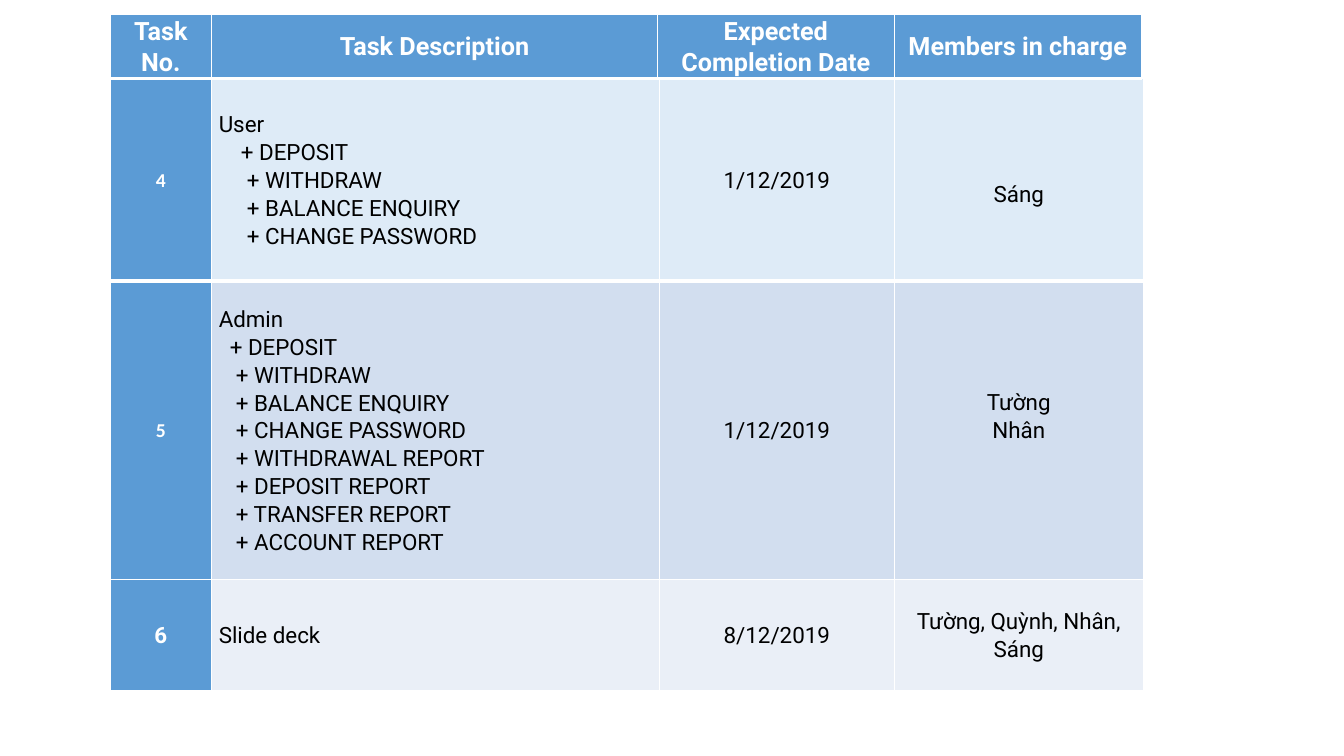
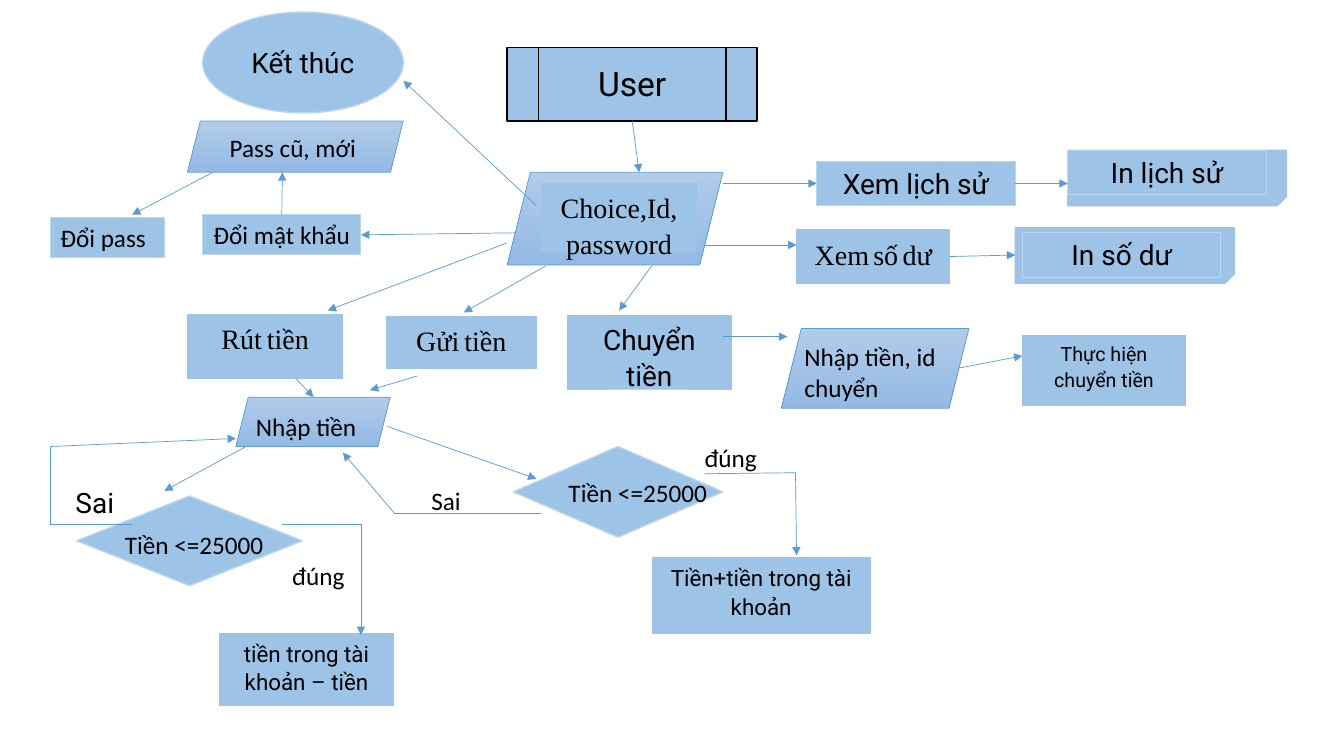
import pptx
import pptx.dml.color
import pptx.enum.shapes
import pptx.enum.text
import pptx.oxml
import pptx.oxml.ns
import pptx.util

Inches, Pt = pptx.util.Inches, pptx.util.Pt
RGBColor = pptx.dml.color.RGBColor
SHAPE = pptx.enum.shapes.MSO_SHAPE
ALIGN = pptx.enum.text.PP_ALIGN
ANCHOR = pptx.enum.text.MSO_ANCHOR
AUTO = pptx.enum.text.MSO_AUTO_SIZE

# Shared colours
BLACK = RGBColor(0x00, 0x00, 0x00)
WHITE = RGBColor(0xFF, 0xFF, 0xFF)
BLUE = RGBColor(0x5B, 0x9B, 0xD5)
SKY = RGBColor(0x9D, 0xC3, 0xE6)
PALE = RGBColor(0xBD, 0xD7, 0xEE)
GRADIENT = (RGBColor(0xB1, 0xCB, 0xE9), RGBColor(0x93, 0xB9, 0xE4))
ROW_TINTS = (RGBColor(0xDE, 0xEB, 0xF7), RGBColor(0xD2, 0xDE, 0xEF),
             RGBColor(0xEA, 0xEF, 0xF7))

# Shared text formats
ROBOTO, CALIBRI, TIMES = "Roboto", "Calibri", "Times New Roman"
HEADER = {"name": ROBOTO, "size": Pt(18), "bold": True}
BODY = {"name": ROBOTO, "size": Pt(16), "bold": False}
NUMBER = {"name": CALIBRI, "size": Pt(14), "bold": True}
NUMBER_LARGE = {**BODY, "bold": True}
STEP = {"name": ROBOTO, "size": Pt(20)}
STEP_MEDIUM = {"name": ROBOTO, "size": Pt(16)}
STEP_SMALL = {"name": ROBOTO, "size": Pt(14)}
STEP_SERIF = {"name": TIMES, "size": Pt(20)}
LABEL = {"name": CALIBRI, "size": Pt(18)}
USER = {"name": ROBOTO, "size": Pt(24)}
LOOSE = 1.07

# Task table
COLUMNS = ("Task\nNo.", "Task Description", "Expected Completion Date",
           "Members in charge")
USER_TASKS = ("DEPOSIT", "WITHDRAW", "BALANCE ENQUIRY", "CHANGE PASSWORD")
ADMIN_TASKS = USER_TASKS + ("WITHDRAWAL REPORT", "DEPOSIT REPORT",
                            "TRANSFER REPORT", "ACCOUNT REPORT")
# number, number format, heading, sub-tasks, indent, date, members,
# margins above and below the members
TASKS = (
    ("4", NUMBER, "User", USER_TASKS, 0.22, "1/12/2019", "Sáng", 0.28, 0),
    ("5", NUMBER, "Admin", ADMIN_TASKS, 0.11, "1/12/2019", "Tường\nNhân", 0, 0.28),
    ("6", NUMBER_LARGE, "Slide deck", (), 0, "8/12/2019",
     "Tường, Quỳnh, Nhân, Sáng", 0, 0),
)


def set_attrs(obj, values):
    for name, value in values.items():
        setattr(obj, name, value)


def add_run(p, text, fmt, color):
    r = p.add_run()
    r.text = text
    set_attrs(r.font, fmt)
    r.font.color.rgb = color


def write_text(tf, text, fmt, color=BLACK, align=ALIGN.CENTER, spacing=None, gap=None):
    """Write lines of text; gap is the size of the spaces between words."""
    for i, line in enumerate(text.split("\n")):
        p = tf.add_paragraph() if i else tf.paragraphs[0]
        p.alignment = align
        if spacing:
            p.line_spacing = spacing
        if gap is None:
            add_run(p, line, fmt, color)
            continue
        for j, word in enumerate(line.split()):
            if j:
                add_run(p, " ", {**fmt, "size": Pt(gap)}, color)
            add_run(p, word, fmt, color)


# Table parts
def set_borders(cell, bottom):
    tc_pr = cell._tc.get_or_add_tcPr()
    for i, (side, width) in enumerate((("L", 1), ("R", 1), ("T", 1), ("B", bottom))):
        ln = pptx.oxml.parse_xml(
            f'<a:ln{side} {pptx.oxml.ns.nsdecls("a")} w="{Pt(width)}"><a:solidFill>'
            f'<a:srgbClr val="{WHITE}"/></a:solidFill></a:ln{side}>')
        tc_pr.insert(i, ln)


def fill_cell(cell, text, fmt, fill, color=BLACK, align=ALIGN.CENTER,
              bottom=1, above=0, below=0):
    set_attrs(cell, {"margin_left": Inches(0.07), "margin_right": Inches(0.07),
                     "margin_top": Inches(above), "margin_bottom": Inches(below),
                     "vertical_anchor": ANCHOR.MIDDLE})
    cell.fill.solid()
    cell.fill.fore_color.rgb = fill
    set_borders(cell, bottom)
    write_text(cell.text_frame, text, fmt, color, align, LOOSE)


def add_grid(s, top, widths, heights):
    frame = s.shapes.add_table(len(heights), len(widths), Inches(1.09), Inches(top),
                               Inches(sum(widths)), Inches(sum(heights)))
    table = frame.table
    for column, width in zip(table.columns, widths):
        column.width = Inches(width)
    for row, height in zip(table.rows, heights):
        row.height = Inches(height)
    return table


def indent_tasks(cell, first):
    for i, p in enumerate(cell.text_frame.paragraphs[1:]):
        indent = first if i == 0 else first + 0.06
        p._p.get_or_add_pPr().set("marL", str(Inches(indent)))


def build_task_slide(s):
    table = add_grid(s, 0.78, (1.01, 4.44, 2.33, 2.47), (2.01, 2.96, 1.1))
    for i, (task, tint) in enumerate(zip(TASKS, ROW_TINTS)):
        number, number_fmt, heading, subtasks, indent, date, members, above, below = task
        cells = table.rows[i].cells
        bottom = 1 if i else 3
        description = "\n".join([heading] + ["+ " + name for name in subtasks])
        fill_cell(cells[0], number, number_fmt, BLUE, WHITE, bottom=bottom)
        fill_cell(cells[1], description, BODY, tint, align=ALIGN.JUSTIFY, bottom=bottom)
        indent_tasks(cells[1], indent)
        fill_cell(cells[2], date, BODY, tint, bottom=bottom)
        fill_cell(cells[3], members, BODY, tint, bottom=bottom, above=above, below=below)

    header = add_grid(s, 0.14, (1.01, 4.42, 2.35, 2.45), (0.64,))
    for cell, title in zip(header.rows[0].cells, COLUMNS):
        fill_cell(cell, title, HEADER, BLUE, WHITE, bottom=3)


# Flowchart parts
def add_box(s, at, text="", fmt=STEP, kind=SHAPE.RECTANGLE, line=SKY, width=0.5,
            anchor=ANCHOR.TOP, rotation=0, **text_options):
    sp = s.shapes.add_shape(kind, *map(Inches, at))
    sp.shadow.inherit = False
    sp.rotation = rotation
    sp.fill.solid()
    sp.fill.fore_color.rgb = SKY
    sp.line.color.rgb = line
    sp.line.width = Pt(width)
    set_attrs(sp.text_frame, {"word_wrap": True, "vertical_anchor": anchor})
    if text:
        write_text(sp.text_frame, text, fmt, **text_options)
    return sp


def add_input(s, at):
    sp = add_box(s, at, kind=SHAPE.PARALLELOGRAM, line=BLUE)
    sp.fill.gradient()
    sp.fill.gradient_angle = 270
    for stop, color in zip(sp.fill.gradient_stops, GRADIENT):
        stop.color.rgb = color


def add_label(s, at, text, fmt=LABEL, align=ALIGN.LEFT):
    tf = s.shapes.add_textbox(*map(Inches, at)).text_frame
    set_attrs(tf, {"word_wrap": True, "auto_size": AUTO.SHAPE_TO_FIT_TEXT})
    write_text(tf, text, fmt, align=align)


def add_flow(s, *points, begin=None, end=None):
    """Draw a path of straight lines with an arrowhead at its last point."""
    for start, stop in zip(points, points[1:]):
        c = s.shapes.add_connector(pptx.enum.shapes.MSO_CONNECTOR.STRAIGHT,
                                   *map(Inches, start + stop))
        c.line.color.rgb = BLUE
        c.line.width = Pt(0.5)
        c._element.spPr.append(pptx.oxml.parse_xml(
            f'<a:effectLst {pptx.oxml.ns.nsdecls("a")}/>'))
    c.line._get_or_add_ln().append(pptx.oxml.parse_xml(
        f'<a:tailEnd {pptx.oxml.ns.nsdecls("a")} type="triangle"/>'))
    if begin:
        c.begin_connect(*begin)
    if end:
        c.end_connect(*end)


def build_flow_slide(s):
    # Start, end and choice
    user = add_box(s, (5.03, 0.47, 2.48, 0.73), line=BLACK, width=1,
                   kind=SHAPE.FLOWCHART_PREDEFINED_PROCESS)
    add_box(s, (5.63, 0.58, 1.28, 0.5), "User", USER, width=0.75)
    add_box(s, (2.01, 0.12, 1.99, 1), "Kết thúc", kind=SHAPE.OVAL, line=PALE,
            width=1, anchor=ANCHOR.MIDDLE)
    for at in ((5.03, 1.71, 2.14, 0.92), (1.86, 1.2, 2.14, 0.51),
               (2.34, 3.94, 1.53, 0.49), (7.75, 3.26, 1.86, 0.79)):
        add_input(s, at)
    add_box(s, (5.37, 1.82, 1.54, 0.67), "Choice,Id, password", STEP_SERIF, spacing=LOOSE)

    # Steps
    balance = add_box(s, (7.9, 2.28, 1.52, 0.53), "Xem số dư", STEP_SERIF,
                      spacing=LOOSE, gap=12)
    for at, text in (((1.86, 3.12, 1.54, 0.63), "Rút tiền"),
                     ((3.83, 3.14, 1.49, 0.51), "Gửi tiền")):
        add_box(s, at, text, STEP_SERIF, spacing=LOOSE, gap=14)
    for at, text, fmt in (
            ((5.63, 3.13, 1.62, 0.73), "Chuyển tiền", STEP),
            ((10.14, 3.33, 1.62, 0.69), "Thực hiện chuyển tiền", STEP_SMALL),
            ((2.18, 6.28, 1.72, 0.72), "tiền trong tài khoản – tiền", STEP_MEDIUM),
            ((6.47, 5.53, 2.16, 0.75), "Tiền+tiền trong tài khoản", STEP_MEDIUM)):
        add_box(s, at, text, fmt, spacing=LOOSE)

    # Printed results
    for at in ((11.4, 0.68, 0.55, 2.17), (10.88, 1.45, 0.55, 2.17)):
        add_box(s, at, kind=SHAPE.SNIP_1_RECTANGLE, width=1, rotation=90)
    outlined = {"line": PALE, "width": 0.75}
    history = add_box(s, (8.1, 1.6, 1.97, 0.44), "Xem lịch sử", **outlined)
    add_box(s, (10.59, 1.49, 1.97, 0.44), "In lịch sử", **outlined)
    add_box(s, (10.14, 2.31, 1.97, 0.44), "In số dư", **outlined)
    password = add_box(s, (2.01, 2.13, 1.57, 0.4), "Đổi mật khẩu", LABEL, **outlined)
    add_box(s, (0.5, 2.16, 1.13, 0.4), "Đổi pass", LABEL, align=ALIGN.LEFT, **outlined)

    # Decisions
    for at in ((5.09, 4.43, 2.08, 0.9), (0.76, 4.92, 2.24, 0.89)):
        add_box(s, at, kind=SHAPE.DIAMOND, line=PALE, width=1)

    # Labels
    for at, text in (((2.18, 1.26, 1.49, 0.4), "Pass cũ, mới"),
                     ((2.44, 4.03, 1.4, 0.4), "Nhập tiền"),
                     ((7.88, 3.34, 1.59, 0.71), "Nhập tiền, id chuyển"),
                     ((1.14, 5.2, 1.97, 0.4), "Tiền <=25000"),
                     ((5.54, 4.69, 1.97, 0.4), "Tiền <=25000"),
                     ((2.8, 5.51, 0.96, 0.4), "đúng"),
                     ((6.89, 4.34, 0.96, 0.4), "đúng"),
                     ((4.18, 4.77, 0.74, 0.4), "Sai")):
        add_label(s, at, text)
    add_label(s, (0.57, 4.77, 0.74, 0.44), "Sai", STEP, ALIGN.CENTER)

    # Arrows joined to boxes
    add_flow(s, (6.27, 1.2), (6.34, 1.71), begin=(user, 2))
    add_flow(s, (7.17, 1.82), (8.1, 1.82), end=(history, 1))
    add_flow(s, (10.07, 1.82), (10.59, 1.82), begin=(history, 3))
    add_flow(s, (9.42, 2.54), (10.07, 2.53), begin=(balance, 3))
    add_flow(s, (5.11, 2.31), (3.58, 2.33), end=(password, 3))
    add_flow(s, (2.8, 2.13), (2.8, 1.71), begin=(password, 0))

    # Free arrows
    for points in (
            ((5.32, 2.04), (4, 0.8)),
            ((6.99, 2.43), (7.9, 2.43)),
            ((5.03, 2.41), (3.25, 3.08)),
            ((5.41, 2.64), (4.6, 3.1)),
            ((6.47, 2.63), (6.14, 3.08)),
            ((2.11, 1.71), (1.31, 2.13)),
            ((2.93, 3.75), (3.11, 3.94)),
            ((4.14, 3.73), (3.67, 3.87)),
            ((7.17, 3.34), (7.81, 3.34)),
            ((9.52, 3.65), (10.14, 3.53)),
            ((2.44, 4.43), (1.63, 4.87)),
            ((3.84, 4.23), (5.32, 4.75)),
            ((1.31, 5.2), (0.5, 5.2), (0.5, 4.43), (2.34, 4.35)),
            ((2.8, 5.2), (3.58, 5.2), (3.58, 6.3)),
            ((5.37, 5.09), (3.91, 5.09), (3.4, 4.49)),
            ((6.99, 4.7), (7.89, 4.69), (7.9, 5.51))):
        add_flow(s, *points)


def main():
    prs = pptx.Presentation()
    prs.slide_width, prs.slide_height = Inches(13.33), Inches(7.5)
    for build in (build_task_slide, build_flow_slide):
        build(prs.slides.add_slide(prs.slide_layouts[6]))
    prs.save("out.pptx")


if __name__ == "__main__":
    main()
